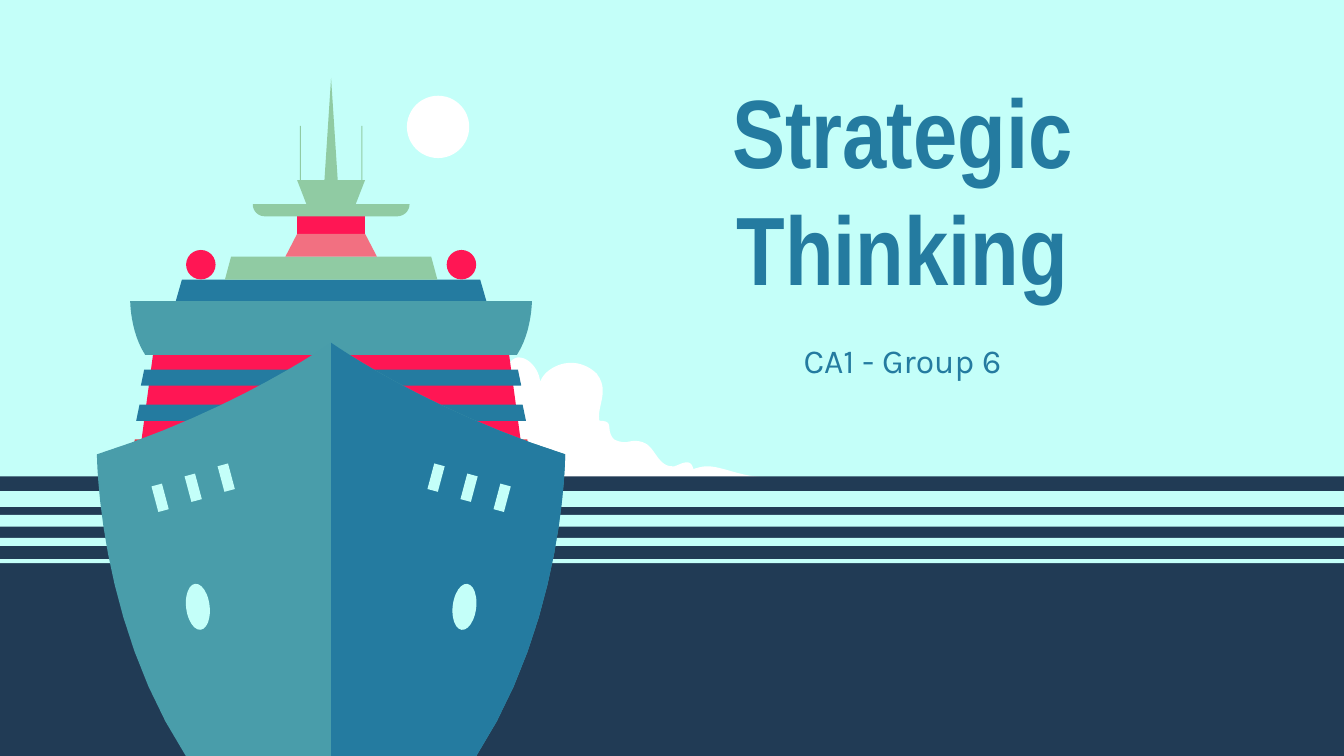
from pptx import Presentation
from pptx.dml.color import RGBColor
from pptx.enum import shapes as kinds, text
from pptx.util import Pt

SKY, SEA, TEAL, BLUE = "C4FFF9", "213B55", "4A9EAA", "247BA0"
RED, PINK, GREEN, WHITE = "FF1654", "F27081", "90CBA3", "FFFFFF"
RECT, OVAL = kinds.MSO_SHAPE.RECTANGLE, kinds.MSO_SHAPE.OVAL


def solid(home, preset, left, top, width, height, colour, angle=0):
    part = home.add_shape(preset, Pt(left), Pt(top), Pt(width), Pt(height))
    part.rotation = angle
    part.shadow.inherit = False
    part.fill.solid()
    part.fill.fore_color.rgb = RGBColor.from_string(colour)
    part.line.fill.background()


def outline(home, steps, colour):
    """Steps are (x, y) for a line and (x1, y1, x2, y2, x, y) for a curve."""
    points = [steps[0]]
    for step in steps[1:]:
        if len(step) == 2:
            points.append(step)
            continue
        knots = [points[-1], step[:2], step[2:4], step[4:]]
        for t in [n / 12 for n in range(1, 13)]:
            weights = ((1 - t) ** 3, 3 * t * (1 - t) ** 2, 3 * t * t * (1 - t), t ** 3)
            points.append(tuple(sum(w * k[axis] for w, k in zip(weights, knots)) for axis in (0, 1)))
    vertices = [(Pt(x), Pt(y)) for x, y in points]
    builder = home.build_freeform(*vertices[0], scale=1.0)
    builder.add_line_segments(vertices[1:], close=True)
    part = builder.convert_to_shape()
    part.shadow.inherit = False
    part.fill.solid()
    part.fill.fore_color.rgb = RGBColor.from_string(colour)
    part.line.fill.background()


deck = Presentation()
deck.slide_width, deck.slide_height = Pt(720), Pt(405)
slide = deck.slides.add_slide(deck.slide_layouts[0])
slide.background.fill.solid()
slide.background.fill.fore_color.rgb = RGBColor.from_string(SKY)
scene = slide.shapes

for holder, words, top, height, size, font, bold in [
    (scene.title, "Strategic Thinking", 42.5, 116.6, 52, "Arial Narrow", True),
    (slide.placeholders[1], "CA1 - Group 6", 171.4, 43.2, 18, "Karla", False),
]:
    holder.left, holder.top, holder.width, holder.height = Pt(299.5), Pt(top), Pt(368), Pt(height)
    frame = holder.text_frame
    frame.text = words
    frame.word_wrap = True
    frame.auto_size = text.MSO_AUTO_SIZE.NONE
    frame.vertical_anchor = text.MSO_ANCHOR.MIDDLE
    frame.margin_left = frame.margin_right = frame.margin_top = frame.margin_bottom = Pt(7.2)
    line = frame.paragraphs[0]
    line.alignment = text.PP_ALIGN.CENTER
    line.space_before = Pt(0)
    letters = line.runs[0].font
    letters.size, letters.name, letters.bold = Pt(size), font, bold
    letters.color.rgb = RGBColor.from_string(BLUE)

cloud = [
    (226.8, 185), (223.2, 185, 219.6, 185, 215.3, 186.5),
    (204.5, 189.4, 193.7, 197.3, 192.2, 208.1), (190.8, 213.8, 191.5, 217.4, 191.5, 217.4),
    (190.8, 216.7, 189.4, 216, 187.9, 216), (185, 216, 180.7, 219.6, 179.3, 222.5),
    (177.1, 218.9, 175, 217.4, 172.8, 217.4), (168.5, 217.4, 164.9, 222.5, 165.6, 228.2),
    (166.3, 232.6, 168.5, 234, 162.7, 235.4), (161.3, 235.4, 159.8, 232.6, 157.7, 232.6),
    (157, 232.6), (154.8, 233.3, 154.1, 236.2, 151.9, 237.6),
    (149, 239.8, 148.3, 241.2, 146.2, 241.2), (144.7, 241.2, 142.6, 240.5, 139.7, 239.8),
    (136.8, 239, 134.6, 239, 133.9, 239), (131.8, 239, 131.8, 239.8, 128.9, 242.6),
    (126, 246.2, 123.8, 247, 121.7, 247), (118.1, 247),
    (116.6, 247, 115.9, 247, 115.2, 247.7), (108, 250.6, 78.5, 255.6, 62.6, 255.6),
    (410.4, 255.6), (396.7, 255.6, 387.4, 249.8, 378.7, 249.8),
    (376.6, 249.8, 373.7, 250.6, 371.5, 251.3), (370.8, 248.4, 369.4, 247.7, 367.9, 247.7),
    (365.8, 247.7, 363.6, 249.1, 361.4, 249.8), (360, 249.8),
    (353.5, 249.8, 351.4, 241.9, 347, 238.3), (344.9, 236.9, 342.7, 236.2, 339.8, 236.2),
    (338.4, 236.2, 336.2, 236.9, 334.8, 236.9), (332.6, 236.9, 330.5, 236.2, 329, 235.4),
    (324, 230.4, 329.8, 225.4, 321.1, 225.4), (319.7, 217.4, 326.9, 209.5, 319.7, 200.2),
    (316.1, 196.6, 311, 194.4, 306, 194.4), (298.8, 194.4, 291.6, 198.7, 289.4, 204.5),
    (288.7, 197.3, 283, 191.5, 277.9, 191.5), (276.5, 191.5, 275, 192.2, 273.6, 193.7),
    (271.4, 195.1, 270.7, 198, 268.6, 198), (267.8, 197.3),
    (266.4, 196.6, 267.1, 195.1, 265.7, 194.4), (264.2, 194.4),
    (259.9, 194.4, 259.2, 200.9, 254.9, 200.9), (253.4, 200.2),
    (249.8, 199.4, 244.8, 185, 226.8, 185),
]
outline(scene, cloud, WHITE)

solid(scene, RECT, 0, 255.2, 720, 149.8, SEA)
for top, height in [(263.1, 8.5), (275.8, 6.4), (288.1, 4.4), (299.5, 2.2)]:
    solid(scene, RECT, 0, top, 720, height, SKY)

ship = scene.add_group_shape().shapes
middle = 177.4

for top, bottom, half_top, half_bottom, colour in [
    (190.1, 286.6, 95.4, 108.4, RED),
    (235.4, 244.8, 105.1, 106.9, "E63946"),
    (216.7, 225.4, 102.6, 104.4, BLUE),
    (198, 206.6, 100.1, 101.9, BLUE),
    (149.8, 161.3, 79.9, 83.2, BLUE),
    (137.5, 149.8, 53.6, 56.9, GREEN),
    (115.9, 125.3, 18.2, 18.2, RED),
    (125.3, 137.5, 18.2, 24.5, PINK),
    (96.5, 109.4, 18.2, 13.2, GREEN),
    (41.8, 97.2, 0, 3.6, GREEN),
]:
    outline(ship, [(middle - half_top, top), (middle - half_bottom, bottom),
                   (middle + half_bottom, bottom), (middle + half_top, top)], colour)

outline(ship, [(69.8, 161.3), (69.8, 161.3, 69.8, 177.8, 77.8, 190.1), (277, 190.1),
               (285, 177.8, 285, 161.3, 285, 161.3)], TEAL)
outline(ship, [(135.4, 109.4), (135.4, 113, 138.2, 115.9, 141.8, 115.9), (212.8, 115.9),
               (216.4, 115.9, 219.4, 113, 219.4, 109.4)], GREEN)

hull_right = [(177.4, 183.6), (177.4, 405), (255.2, 405), (302.8, 331.9, 302.8, 243.4, 302.8, 243.4),
              (228, 219.6, 177.4, 183.6, 177.4, 183.6)]
hull_left = [(177.4, 183.6, 126.7, 219.6, 52, 243.4), (52, 243.4, 52, 331.9, 99.6, 405)]
outline(ship, hull_right[:1] + hull_left + hull_right[2:], "499DAA")
outline(ship, hull_right, BLUE)

for side in (-1, 1):
    solid(ship, OVAL, middle + side * 69.8 - 7.9, 133.9, 15.8, 15.8, RED)
    solid(ship, RECT, middle + side * 16.5 - 0.3, 67.5, 0.6, 29, GREEN)
    solid(ship, OVAL, middle + side * 71.4 - 6.3, 312.7, 12.6, 24.8, SKY, side * 7)
    for window in range(3):
        solid(ship, RECT, middle + side * (56.2 + 17.7 * window) - 2.9, 248.8 + 5.4 * window,
              5.8, 14.2, SKY, side * 15)

solid(scene, OVAL, 218, 51.3, 33.4, 33.4, WHITE)

deck.save("out.pptx")
